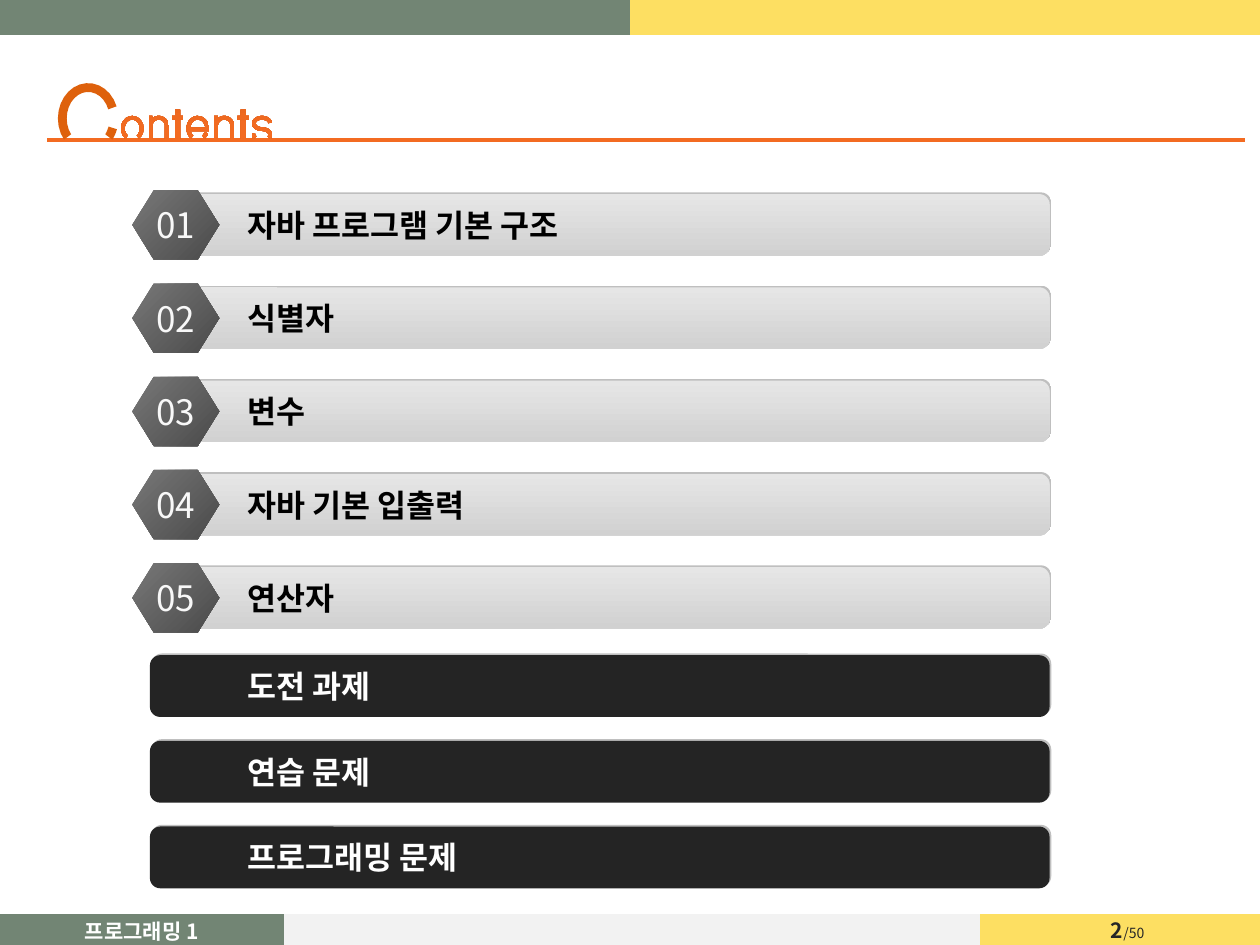
from math import cos, radians, sin

from lxml import etree
from pptx import Presentation
from pptx.dml.color import RGBColor
from pptx.enum.shapes import MSO_CONNECTOR, MSO_SHAPE
from pptx.enum.text import MSO_ANCHOR, PP_ALIGN
from pptx.oxml.ns import qn
from pptx.util import Inches, Pt

STRAIGHT = MSO_CONNECTOR.STRAIGHT
ROUND_RECT, HEXAGON = MSO_SHAPE.ROUNDED_RECTANGLE, MSO_SHAPE.HEXAGON
MIDDLE = MSO_ANCHOR.MIDDLE
LEFT, CENTER = PP_ALIGN.LEFT, PP_ALIGN.CENTER

FONT = "Noto Sans CJK KR"
NO_TABLE_STYLE = "{2D5ABB26-0587-4C30-8999-92F81FD0307C}"
GREEN = RGBColor.from_string("728574")
YELLOW = RGBColor.from_string("FDDF62")
PALE = RGBColor.from_string("F2F2F2")
ORANGE = RGBColor.from_string("F36B21")
RUST = RGBColor.from_string("D25C1C")
INITIAL = RGBColor.from_string("DE610C")
BAR_TOP = RGBColor.from_string("E6E6E6")
BAR_BOTTOM = RGBColor.from_string("D1D1D1")
HEX_LIGHT = RGBColor.from_string("777777")
HEX_DARK = RGBColor.from_string("4B4B4B")
SHADOW = RGBColor.from_string("BFBFBF")
CHARCOAL = RGBColor.from_string("242424")
INK = RGBColor.from_string("262626")
BLACK = RGBColor.from_string("000000")
WHITE = RGBColor.from_string("FFFFFF")
NEAR_WHITE = RGBColor.from_string("F8F8F8")

CHAPTERS = ["자바 프로그램 기본 구조", "식별자", "변수", "자바 기본 입출력", "연산자"]
EXERCISES = ["도전 과제", "연습 문제", "프로그래밍 문제"]

BASE = 1.1
STROKE = 0.03


def arc(cx, cy, rx, ry, start, end, steps=16):
    """Return points along an elliptical arc, with angles clockwise from the right."""
    angles = [radians(start + (end - start) * i / steps) for i in range(steps + 1)]
    return [(cx + rx * cos(a), cy + ry * sin(a)) for a in angles]


def band(cx, cy, rx, ry, start, end, stroke=STROKE):
    """Return the outline of a curved stroke."""
    return (arc(cx, cy, rx, ry, start, end)
            + arc(cx, cy, rx - stroke, ry - stroke, end, start))


def letter_c():
    """Return the contours of the large initial."""
    oval = (0.7, 0.94, 0.24, 0.28)
    return [band(*oval, 143, 340, 0.07), band(*oval, 18, 37, 0.07)]


def letter_o(x):
    """Return the contours of an o cut off at the base."""
    return [band(x, 1.02, 0.09, 0.1, 127, 413)]


def letter_n(x):
    """Return the contours of an n: a stem with a serif and an arch."""
    r, top = 0.08, 0.92
    inner = r - STROKE
    stem = [(x - r, BASE), (x - r, top), (x - inner, top)]
    return [stem + arc(x, top + r, r, r, 230, 360) + [(x + r, BASE), (x + inner, BASE)]
            + arc(x, top + r, inner, inner, 360, 180) + [(x - inner, BASE)]]


def letter_t(x):
    """Return the contours of a t: a stem and a crossbar."""
    half, arm, top, bar = 0.02, 0.045, 0.87, 0.92
    right = [(half, top), (half, bar), (arm, bar), (arm, bar + STROKE),
             (half, bar + STROKE), (half, BASE)]
    return [[(x + dx, y) for dx, y in right] + [(x - dx, y) for dx, y in reversed(right)]]


def letter_e(x):
    """Return the contours of an e: body, counter and tail."""
    oval, inner = (x, 1.02, 0.09, 0.1), (x, 1.02, 0.06, 0.07)
    return [arc(*oval, 127, 372) + arc(*inner, 163, 127), arc(*inner, 185, 355),
            band(*oval, 24, 53)]


def letter_s(x):
    """Return the contours of an s: upper hook, lower curve and tail."""
    lower = (x, 1.07, 0.08, 0.06)
    return [band(x, 0.98, 0.08, 0.06, 90, 355), band(*lower, 270, 390),
            band(*lower, 150, 190)]


def style_run(r, size, color, bold=False):
    """Set size, colour and both Latin and Korean typefaces of a run."""
    r.font.size, r.font.bold, r.font.name = Pt(size), bold, FONT
    r.font.color.rgb = color
    etree.SubElement(r.font._element, qn("a:ea"), typeface=FONT)


def paint(sp, colors, angle=270):
    """Fill a shape with one colour or a two-colour gradient, without a line."""
    sp.shadow.inherit = False
    sp.line.fill.background()
    if len(colors) == 1:
        sp.fill.solid()
        sp.fill.fore_color.rgb = colors[0]
        return
    sp.fill.gradient()
    sp.fill.gradient_angle = angle
    for stop, color in zip(sp.fill.gradient_stops, colors):
        stop.color.rgb = color


def write(sp, text, size, color, bold, align):
    """Write one middle-anchored line of text in a shape or cell."""
    tf = sp.text_frame
    tf.text = text
    sp_or_tf = tf if hasattr(tf, "word_wrap") and hasattr(sp, "shape_type") else sp
    sp_or_tf.vertical_anchor = MIDDLE
    p = tf.paragraphs[0]
    p.alignment = align
    style_run(p.runs[0], size, color, bold)


def add_bar(shapes, top, text, colors, text_color):
    """Add a rounded bar with a hard shadow toward the upper right."""
    sp = shapes.add_shape(ROUND_RECT, Inches(1.19), Inches(top), Inches(7.14), Inches(0.49))
    paint(sp, colors)
    effects = sp.element.spPr.find(qn("a:effectLst"))
    shadow = etree.SubElement(effects, qn("a:outerShdw"), blurRad="0", dist=str(Pt(1.4)),
                              dir="18900000", algn="bl", rotWithShape="0")
    etree.SubElement(shadow, qn("a:srgbClr"), val=str(SHADOW))
    sp.text_frame.margin_left = Inches(0.75)
    sp.text_frame.word_wrap = True
    write(sp, text, 18, text_color, True, LEFT)


def add_chapter(s, number, top, text):
    """Add a grouped grey bar and its numbered hexagon."""
    shapes = s.shapes.add_group_shape().shapes
    add_bar(shapes, top, text, [BAR_TOP, BAR_BOTTOM], BLACK)
    sp = shapes.add_shape(HEXAGON, Inches(1.05), Inches(top - 0.03), Inches(0.69), Inches(0.55))
    sp.adjustments[0] = 0.31
    paint(sp, [HEX_LIGHT, HEX_DARK], 315)
    sp.text_frame.word_wrap = False
    write(sp, f"{number:02d}", 20, NEAR_WHITE, False, CENTER)


def add_letter(shapes, contours, colors):
    """Draw one letter of the heading from its contours."""
    builder = shapes.build_freeform(scale=1)
    for contour in contours:
        points = [(Inches(x), Inches(y)) for x, y in contour]
        builder.move_to(*points[0])
        builder.add_line_segments(points[1:], close=True)
    paint(builder.convert_to_shape(), colors)


def add_heading(s):
    """Add the orange rule and the drawn heading."""
    rule = s.shapes.add_connector(STRAIGHT, Inches(9.88), Inches(1.11), Inches(0.37), Inches(1.11))
    rule.line.color.rgb = ORANGE
    rule.line.width = Pt(2.25)
    etree.SubElement(rule.element.spPr, qn("a:effectLst"))
    shapes = s.shapes.add_group_shape().shapes
    for contours in (letter_o(1.05), letter_n(1.26), letter_t(1.41), letter_e(1.57),
                     letter_n(1.78), letter_t(1.93), letter_s(2.08)):
        add_letter(shapes, contours, [RUST, ORANGE])
    add_letter(shapes, letter_c(), [INITIAL])


def add_band(s, top, height, widths, colors, label=""):
    """Add a one-row table as a coloured band, labelled in its first cell."""
    frame = s.shapes.add_table(1, len(widths), 0, Inches(top), Inches(sum(widths)), Inches(height))
    table = frame.table
    table.first_row = table.horz_banding = False
    next(frame.element.iter(qn("a:tableStyleId"))).text = NO_TABLE_STYLE
    for i, (width, color) in enumerate(zip(widths, colors)):
        table.columns[i].width = Inches(width)
        cell = table.cell(0, i)
        cell.fill.solid()
        cell.fill.fore_color.rgb = color
        cell.margin_left = cell.margin_right = cell.margin_top = cell.margin_bottom = 0
        if label and i == 0:
            write(cell, label, 12, WHITE, True, CENTER)
        else:
            p = cell.text_frame.paragraphs[0]
            etree.SubElement(p._p, qn("a:endParaRPr"), sz="800")


def add_page_number(s):
    """Add the page number and page count."""
    tb = s.shapes.add_textbox(Inches(8.47), Inches(7.25), Inches(0.96), Inches(0.26))
    tf = tb.text_frame
    tf.margin_left = tf.margin_right = 0
    tf.word_wrap = False
    write(tb, "2", 12, INK, True, CENTER)
    r = tf.paragraphs[0].add_run()
    r.text = "/50"
    style_run(r, 8, INK)


def main():
    """Build the contents slide."""
    prs = Presentation()
    prs.slide_width, prs.slide_height = Inches(10), Inches(7.5)
    s = prs.slides.add_slide(prs.slide_layouts[6])
    add_band(s, 7.25, 0.27, [2.25, 5.26, 0.27, 1.34, 0.9],
             [GREEN, PALE, PALE, YELLOW, YELLOW], "프로그래밍 1")
    add_band(s, 0, 0.28, [5, 5], [GREEN, YELLOW])
    add_page_number(s)
    add_heading(s)
    for i, text in enumerate(CHAPTERS):
        add_chapter(s, i + 1, 1.54 + 0.74 * i, text)
    for i, text in enumerate(EXERCISES):
        add_bar(s.shapes, 5.2 + 0.68 * i, text, [CHARCOAL], WHITE)
    prs.save("out.pptx")


if __name__ == "__main__":
    main()
